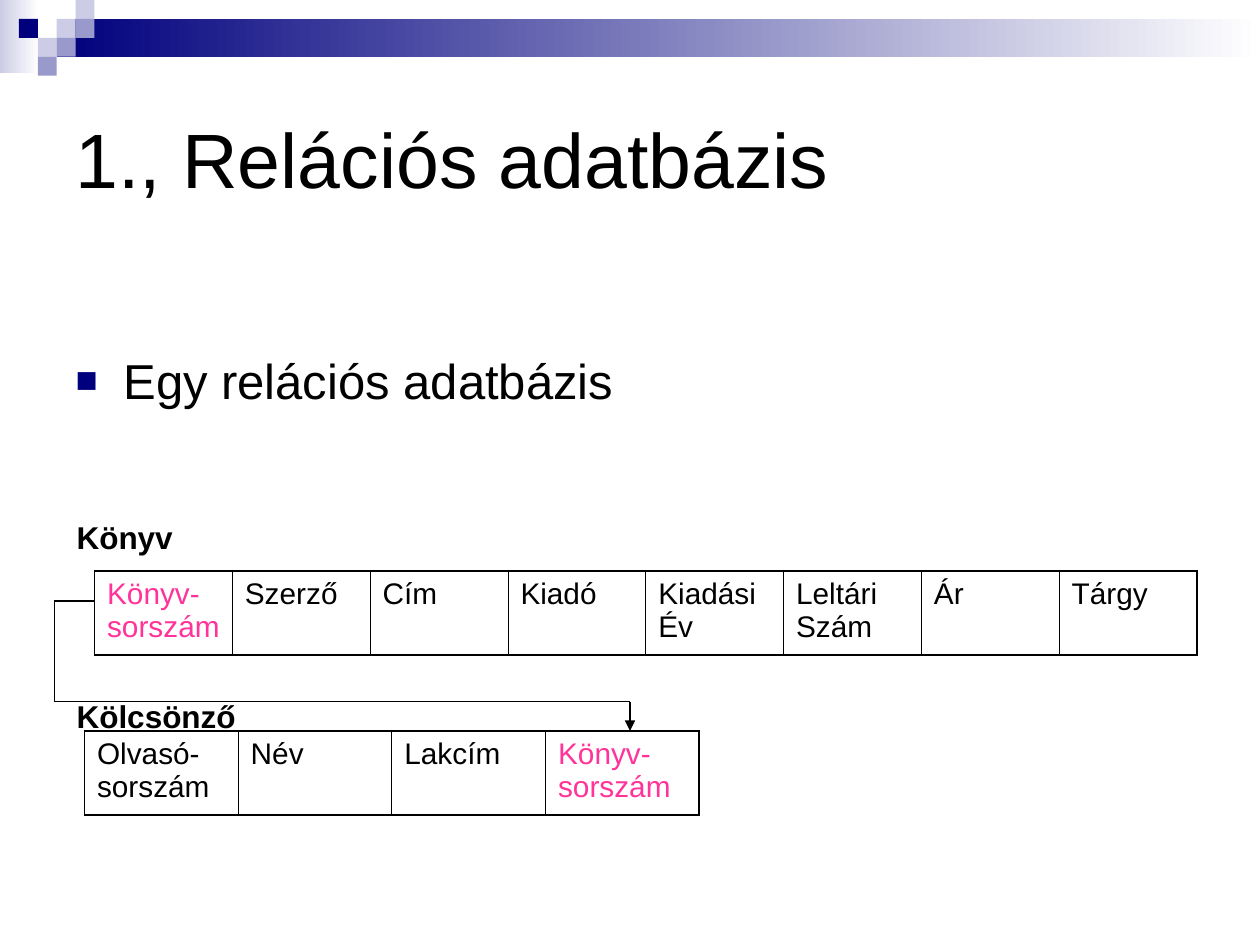
from itertools import pairwise

from pptx import Presentation
from pptx.dml.color import RGBColor
from pptx.enum.shapes import MSO_CONNECTOR as Connector, MSO_SHAPE as Shape
from pptx.enum.text import MSO_ANCHOR as Anchor, PP_ALIGN as Align
from pptx.oxml import parse_xml
from pptx.oxml.ns import nsdecls
from pptx.util import Inches, Pt

BLACK = RGBColor(0x00, 0x00, 0x00)
WHITE = RGBColor(0xFF, 0xFF, 0xFF)
NAVY = RGBColor(0x00, 0x00, 0x7D)
LILAC = RGBColor(0xCC, 0xCC, 0xE6)
VIOLET = RGBColor(0x99, 0x99, 0xCC)
PINK = RGBColor(0xFF, 0x33, 0x99)

FONT = "Arial"
TILE = 0.15  # side of one header square
ROW_HEIGHT = 0.67
KEY = "Könyv-sorszám"  # field shared by both tables

# Header squares as (column, row, colour) on the tile grid
TILES = [(3, 1, LILAC), (4, 0, LILAC), (4, 1, VIOLET), (2, 2, LILAC),
         (1, 1, NAVY), (3, 2, VIOLET), (2, 3, VIOLET)]


def drawing_xml(markup):
    """Parse one DrawingML element, written as name|attributes and the rest."""
    name, rest = markup.split("|", 1)
    return parse_xml(f"<a:{name} {nsdecls('a')} {rest}")


def place(shape, left, top, width, height):
    shape.left, shape.top = Inches(left), Inches(top)
    shape.width, shape.height = Inches(width), Inches(height)


def write(paragraph, text, size, color=BLACK, bold=False):
    run = paragraph.add_run()
    run.text = text
    font = run.font
    font.name, font.size, font.bold = FONT, Pt(size), bold
    font.color.rgb = color


def add_block(slide, left, top, width, height, color, fade=False):
    """A header rectangle, solid or fading to white on the right."""
    block = slide.shapes.add_shape(Shape.RECTANGLE, Inches(left), Inches(top),
                                   Inches(width), Inches(height))
    block.shadow.inherit = False
    block.line.fill.background()
    if fade:
        block.fill.gradient()
        block.fill.gradient_angle = 180
        for stop, stop_color in zip(block.fill.gradient_stops, (WHITE, color)):
            stop.color.rgb = stop_color
    else:
        block.fill.solid()
        block.fill.fore_color.rgb = color


def add_header(slide):
    add_block(slide, 0, 0, 0.31, 0.58, LILAC, fade=True)
    add_block(slide, 3 * TILE, TILE, 10 - 3 * TILE, 2 * TILE, NAVY, fade=True)
    for column, row, color in TILES:
        add_block(slide, column * TILE, row * TILE, TILE, TILE, color)


def fill_title(title, text):
    place(title, 0.5, 0.5, 9, 1.5)
    title.text_frame.vertical_anchor = Anchor.MIDDLE
    paragraph = title.text_frame.paragraphs[0]
    paragraph.alignment = Align.LEFT
    write(paragraph, text, 44)


def fill_body(body, text):
    place(body, 0.5, 2.17, 9, 4.25)
    body.text_frame.margin_top = Inches(0.61)
    paragraph = body.text_frame.paragraphs[0]
    properties = paragraph._p.get_or_add_pPr()
    properties.set("marL", str(Inches(0.38)))
    properties.set("indent", str(-Inches(0.38)))
    for markup in (f'buClr|><a:srgbClr val="{NAVY}"/></a:buClr>',
                   'buSzPct|val="75000"/>',
                   f'buFont|typeface="{FONT}"/>',
                   'buChar|char="■"/>'):
        properties.append(drawing_xml(markup))
    paragraph.space_before = Pt(0)
    write(paragraph, text, 28)


def set_borders(cell, left, right):
    properties = cell._tc.get_or_add_tcPr()
    sides = (("lnL", left), ("lnR", right), ("lnT", 1.08), ("lnB", 1.08))
    for index, (side, width) in enumerate(sides):
        properties.insert(index, drawing_xml(
            f'{side}|w="{Pt(width)}"><a:solidFill><a:srgbClr val="{BLACK}"/>'
            f'</a:solidFill></a:{side}>'))


def add_record(slide, left, top, width, fields):
    """A one-row table of equal fields with a heavier outer border."""
    count = len(fields)
    table = slide.shapes.add_table(
        1, count, Inches(left), Inches(top),
        Inches(width), Inches(ROW_HEIGHT)).table
    table.first_row = table.horz_banding = False
    for index, field in enumerate(fields):
        cell = table.cell(0, index)
        cell.margin_right = Inches(0.05)  # room for the longest word
        cell.fill.background()
        set_borders(cell, 1.08 if index == 0 else 0.45,
                    1.08 if index == count - 1 else 0.45)
        write(cell.text_frame.paragraphs[0], field, 17,
              PINK if field == KEY else BLACK)


def add_label(slide, left, top, width, text):
    label = slide.shapes.add_textbox(Inches(left), Inches(top),
                                     Inches(width), Inches(0.4))
    label.text_frame.word_wrap = True
    write(label.text_frame.paragraphs[0], text, 18, bold=True)


def add_route(slide, points):
    """Straight lines through the points, with an arrowhead at the last."""
    for start, end in pairwise(points):
        line = slide.shapes.add_connector(
            Connector.STRAIGHT, *map(Inches, start + end))
        line.line.color.rgb = BLACK
        line.line.width = Pt(0.75)
        line._element.spPr.append(drawing_xml("effectLst|/>"))
        if end == points[-1]:
            line.line._get_or_add_ln().append(
                drawing_xml('tailEnd|type="triangle"/>'))


def main():
    presentation = Presentation()
    presentation.slide_width, presentation.slide_height = Inches(10), Inches(7.5)
    slide = presentation.slides.add_slide(presentation.slide_layouts[1])

    # Header band and text
    add_header(slide)
    fill_title(slide.shapes.title, "1., Relációs adatbázis")
    fill_body(slide.placeholders[1], "Egy relációs adatbázis")

    # Tables and the key that links them
    add_record(slide, 0.75, 4.53, 8.75, [
        KEY, "Szerző", "Cím", "Kiadó", "Kiadási Év", "Leltári Szám", "Ár", "Tárgy"])
    add_route(slide, [(0.75, 4.77), (0.43, 4.77), (0.43, 5.57), (5, 5.57), (5, 5.8)])
    add_record(slide, 0.67, 5.8, 4.88, ["Olvasó-sorszám", "Név", "Lakcím", KEY])

    # Table names
    add_label(slide, 0.51, 4.06, 1.26, "Könyv")
    add_label(slide, 0.51, 5.48, 1.57, "Kölcsönző")

    presentation.save("out.pptx")


if __name__ == "__main__":
    main()
